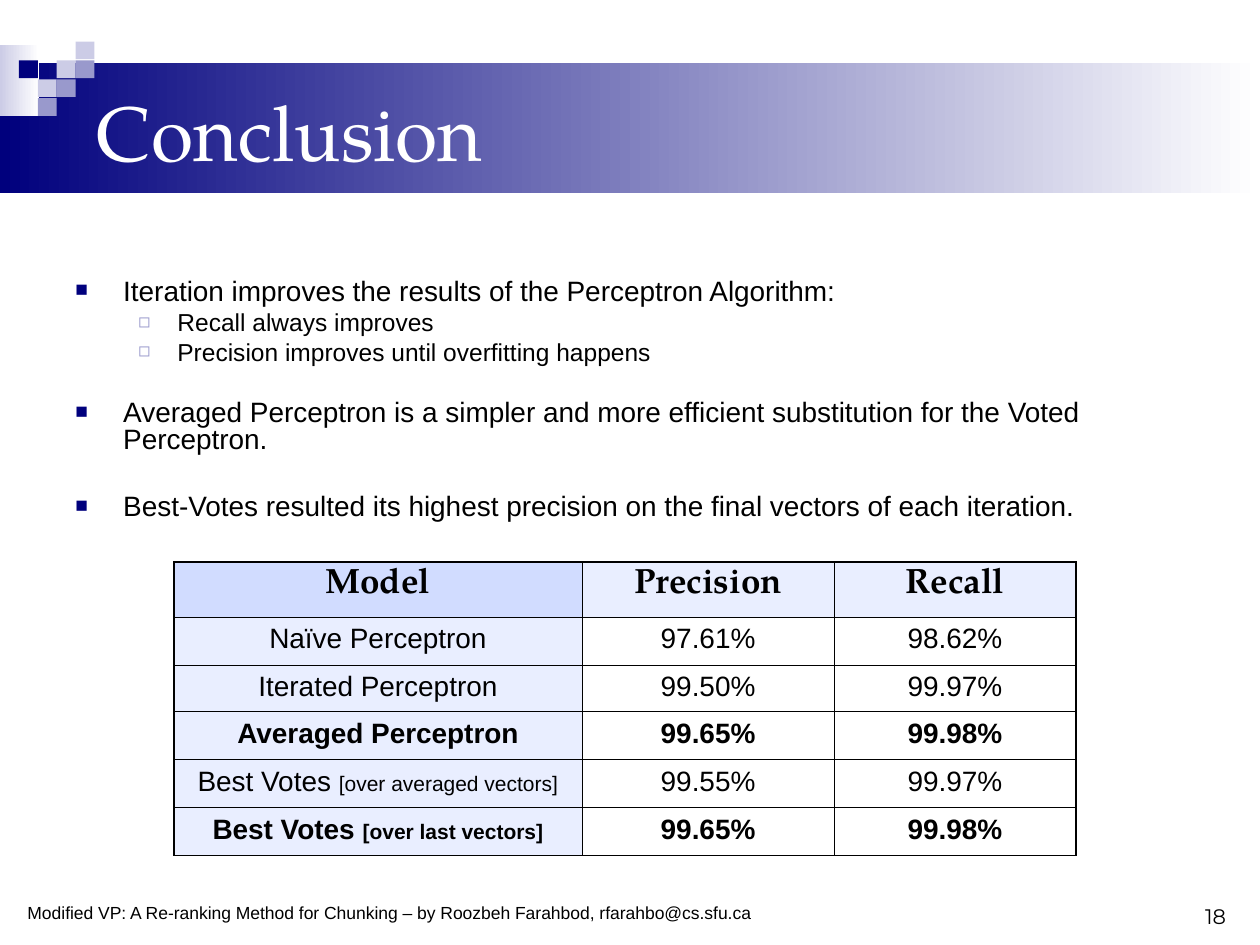
import pptx
import pptx.util
import pptx.dml.color
import pptx.enum.shapes
import pptx.enum.text
import pptx.oxml
import pptx.oxml.ns
from lxml import etree

Inches, Pt = pptx.util.Inches, pptx.util.Pt
Align, Anchor = pptx.enum.text.PP_ALIGN, pptx.enum.text.MSO_ANCHOR
rgb = pptx.dml.color.RGBColor.from_string
qn = pptx.oxml.ns.qn

theme = {
    "navy": "00007D", "mid": "9999CC", "pale": "CCCCE6", "white": "FFFFFF", "black": "000000",
    "corner": "D1DCFF", "label": "E9EEFF",
    "serif": "TeX Gyre Pagella", "sans": "Arial", "number": "Montserrat",
    "title_size": 44, "head_size": 20, "body_size": 16, "sub_size": 14,
    "note_size": 12, "footer_size": 10,
}

deck = pptx.Presentation()
deck.slide_width, deck.slide_height = Inches(10), Inches(7.5)
page = deck.slides.add_slide(deck.slide_layouts[6])


def write(para, text, size, font="sans", color="black", bold=False, **layout):
    """Add one span of text and set the paragraph's layout."""
    for name, value in layout.items():
        setattr(para, name, value)
    span = para.add_run()
    span.text = text
    for name, value in {"size": Pt(theme[size]), "name": theme[font], "bold": bold}.items():
        setattr(span.font, name, value)
    span.font.color.rgb = rgb(theme[color])


def add_text_frame(left, top, width, height, anchor=Anchor.TOP):
    box = page.shapes.add_textbox(Inches(left), Inches(top), Inches(width), Inches(height))
    box.text_frame.word_wrap = True
    box.text_frame.vertical_anchor = anchor
    return box.text_frame


# Title band and corner squares; two colours make a left-to-right gradient
square = 0.15
decorations = [(0, 0.5, 10, 1.03, ["navy", "white"]), (0, 0.36, 0.31, 0.56, ["pale", "white"])]
squares = [(3, 1, "pale"), (4, 0, "pale"), (4, 1, "mid"), (2, 2, "pale"),
           (1, 1, "navy"), (3, 2, "mid"), (2, 3, "mid")]
for column, row, color in squares:
    decorations.append((square * column, 0.33 + square * row, square, 0.14, [color]))
for left, top, width, height, colors in decorations:
    shape = page.shapes.add_shape(pptx.enum.shapes.MSO_SHAPE.RECTANGLE,
                                  Inches(left), Inches(top), Inches(width), Inches(height))
    shape.shadow.inherit = False
    shape.line.fill.background()
    if len(colors) == 1:
        shape.fill.solid()
        shape.fill.fore_color.rgb = rgb(theme[colors[0]])
    else:
        shape.fill.gradient()
        shape.fill.gradient_angle = 0
        for stop, color in zip(shape.fill.gradient_stops, colors):
            stop.color.rgb = rgb(theme[color])

# Title, footer and page number
frame = add_text_frame(0.67, 0.58, 9, 0.92, Anchor.MIDDLE)
write(frame.paragraphs[0], "Conclusion", "title_size", "serif", "white")
frame = add_text_frame(0.12, 7.11, 6.06, 0.27)
write(frame.paragraphs[0],
      "Modified VP: A Re-ranking Method for Chunking – by Roozbeh Farahbod, rfarahbo@cs.sfu.ca",
      "footer_size")
frame = add_text_frame(7.5, 6.92, 2.33, 0.5, Anchor.BOTTOM)
write(frame.paragraphs[0], "18", "note_size", "number", alignment=Align.RIGHT)

# Bullets: size, margin, hanging indent, mark, mark colour, mark percent
levels = [("body_size", 0.38, 0.38, "■", "navy", 75),
          ("sub_size", 0.81, 0.31, "◻", "mid", 80)]
points = [  # level, space before, text
    (0, 4, "Iteration improves the results of the Perceptron Algorithm:"),
    (1, 3.5, "Recall always improves"),
    (1, 3.5, "Precision improves until overfitting happens"),
    (0, 20.4, "Averaged Perceptron is a simpler and more efficient substitution "
              "for the Voted Perceptron."),
    (0, 22.7, "Best-Votes resulted its highest precision on the final vectors of each iteration."),
]
frame = add_text_frame(0.5, 2.17, 9, 2.04)
for index, (level, space, text) in enumerate(points):
    size, margin, hanging, mark, color, percent = levels[level]
    para = frame.add_paragraph() if index else frame.paragraphs[0]
    write(para, text, size, level=level, line_spacing=0.8, space_before=Pt(space))
    properties = para._p.get_or_add_pPr()
    properties.set("marL", str(Inches(margin)))
    properties.set("indent", str(-Inches(hanging)))
    bullet_color = etree.SubElement(properties, qn("a:buClr"))
    etree.SubElement(bullet_color, qn("a:srgbClr"), val=theme[color])
    etree.SubElement(properties, qn("a:buSzPct"), val=str(percent * 1000))
    etree.SubElement(properties, qn("a:buFont"), typeface=theme["sans"])
    etree.SubElement(properties, qn("a:buChar"), char=mark)

# Results table: model, note, precision, recall, bold
results = [
    ("Model", "", "Precision", "Recall", True),
    ("Naïve Perceptron", "", "97.61%", "98.62%", False),
    ("Iterated Perceptron", "", "99.50%", "99.97%", False),
    ("Averaged Perceptron", "", "99.65%", "99.98%", True),
    ("Best Votes ", "[over averaged vectors]", "99.55%", "99.97%", False),
    ("Best Votes ", "[over last vectors]", "99.65%", "99.98%", True),
]
widths = [3.24, 2, 1.92]
heights = [0.44, 0.38, 0.37, 0.38, 0.38, 0.38]
table = page.shapes.add_table(len(heights), len(widths), Inches(1.38), Inches(4.46),
                              Inches(sum(widths)), Inches(sum(heights))).table
table.first_row = table.horz_banding = False
for column, width in zip(table.columns, widths):
    column.width = Inches(width)
last_row, last_column = len(heights) - 1, len(widths) - 1
for r, (model, note, precision, recall, bold) in enumerate(results):
    table.rows[r].height = Inches(heights[r])
    for c, text in enumerate((model, precision, recall)):
        cell = table.cell(r, c)
        para = cell.text_frame.paragraphs[0]
        size, font, space = ("body_size", "sans", 4) if r else ("head_size", "serif", 5)
        has_note = bool(note) and c == 0
        write(para, text, size, font, bold=bold, alignment=Align.CENTER,
              space_before=Pt(3 if has_note else space))
        if has_note:
            write(para, note, "note_size", bold=bold)
        # Thick lines on the outer edge, thin lines inside
        edges = {"lnL": c == 0, "lnR": c == last_column, "lnT": r == 0, "lnB": r == last_row}
        for tag, outer in edges.items():
            line = etree.SubElement(cell._tc.get_or_add_tcPr(), qn("a:" + tag),
                                    w=str(Pt(1.08 if outer else 0.45)))
            line_fill = etree.SubElement(line, qn("a:solidFill"))
            etree.SubElement(line_fill, qn("a:srgbClr"), val=theme["black"])
        if r and c:
            cell.fill.background()
        else:
            cell.fill.solid()
            cell.fill.fore_color.rgb = rgb(theme["label" if r or c else "corner"])

deck.save("out.pptx")
